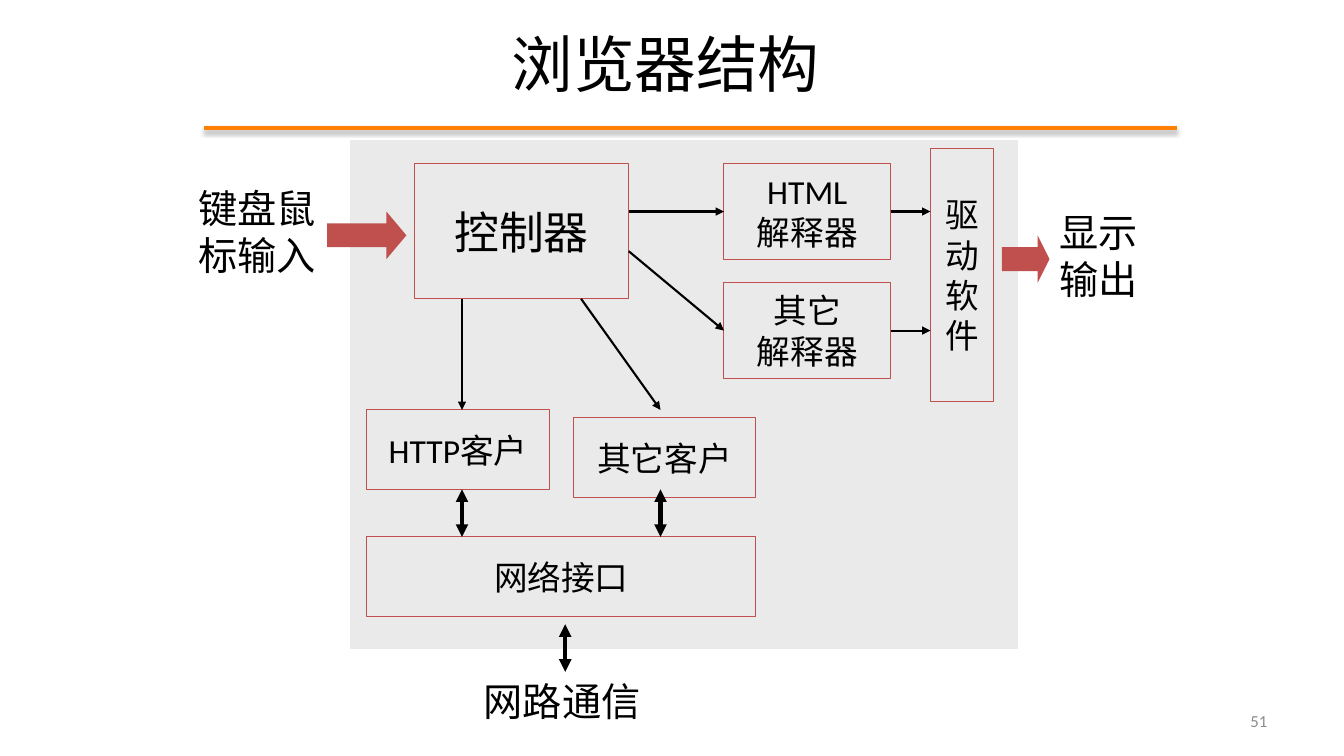
from lxml import etree
from pptx import Presentation
from pptx import util as u
from pptx.dml.color import RGBColor
from pptx.enum import shapes, text
from pptx.oxml.ns import qn

COLORS = {"ink": "000000", "panel": "EAEAEA", "red": "C0504D",
          "rule": "FF8000", "page": "8C8C8C"}
FONT = "Calibri"
CELL = u.Mm(2)
ORIGIN = (u.Inches(3.48), u.Inches(1.39))

PANEL = (0, 0, 84, 64)
BOXES = {
    "controller": ("控制器", 32, (8, 3, 27, 17)),
    "html": ("HTML\n解释器", 24, (47, 3, 21, 12)),
    "other_parser": ("其它\n解释器", 24, (47, 18, 21, 12)),
    "http": ("HTTP客户", 24, (2, 34, 23, 10)),
    "other_client": ("其它客户", 24, (28, 35, 23, 10)),
    "network": ("网络接口", 24, (2, 50, 49, 10)),
    "driver": ("驱\n动\n软\n件", 24, (73, 1, 8, 32)),
}
LABELS = [
    ("键盘鼠\n标输入", (-20.45, 5, 17.4, 13)),
    ("显示\n输出", (88, 8, 12.45, 13)),
    ("网路通信", (15.5, 67, 22.35, 7.2)),
]
BLOCK_ARROWS = [((-3, 9, 10, 6), 0.42), ((82, 12, 6, 6), 0.25)]
EXCHANGES = [((27, 61), (27, 67)), ((14, 44), (14, 50)), ((39, 44), (39, 50))]
FLOWS = [
    ((14, 20), (14, 34), None, None),
    ((29, 20), (39, 34), None, None),
    ((35, 9), (47, 9), None, "html"),
    ((35, 14), (47, 24), None, "other_parser"),
    ((68, 9), (73, 9), "html", None),
    ((68, 24), (73, 24), "other_parser", None),
]
TITLE = ("浏览器结构", (-17.5, -17.65, 114.3, 15.87))
PAGE = ("51", (77.2, 70.6, 39.5, 5.08))
RULE = ((-18.5, -1.5), (104, -1.5))

prs = Presentation()
prs.slide_width, prs.slide_height = u.Inches(13.33), u.Inches(7.5)
slide = prs.slides.add_slide(prs.slide_layouts[6])


def color(name):
    return RGBColor.from_string(COLORS[name])


def point(spot):
    return [int(start + CELL * step) for start, step in zip(ORIGIN, spot)]


def area(cells):
    return point(cells[:2]) + [int(CELL * n) for n in cells[2:]]


def write(holder, words, size, align, ink="ink", wrap=False):
    frame = holder.text_frame
    frame.text = words
    frame.word_wrap = wrap
    frame.vertical_anchor = text.MSO_ANCHOR.MIDDLE
    for paragraph in frame.paragraphs:
        paragraph.alignment = align
        for run in paragraph.runs:
            run.font.size = u.Pt(size)
            run.font.name = FONT
            run.font.color.rgb = color(ink)


def add_block(kind, cells, fill=None, line=None):
    block = slide.shapes.add_shape(kind, *area(cells))
    block.shadow.inherit = False
    if fill:
        block.fill.solid()
        block.fill.fore_color.rgb = color(fill)
    else:
        block.fill.background()
    if line:
        block.line.color.rgb = color(line)
        block.line.width = u.Pt(0.75)
    else:
        block.line.fill.background()
    return block


def add_line(start, end, width, ink="ink", ends=()):
    link = slide.shapes.add_connector(
        shapes.MSO_CONNECTOR.STRAIGHT, *point(start), *point(end))
    link.line.color.rgb = color(ink)
    link.line.width = u.Pt(width)
    for end_tag in ends:
        etree.SubElement(link.line._get_or_add_ln(), qn(end_tag), type="triangle")
    effects = etree.SubElement(link._element.spPr, qn("a:effectLst"))
    return link, effects


def add_text(words, cells, size, align, ink="ink", wrap=True):
    label = slide.shapes.add_textbox(*area(cells))
    write(label, words, size, align, ink, wrap)
    return label


LEFT, CENTER, RIGHT = (text.PP_ALIGN.LEFT, text.PP_ALIGN.CENTER,
                       text.PP_ALIGN.RIGHT)
RECT = shapes.MSO_SHAPE.RECTANGLE

add_text(*PAGE, 12, RIGHT, "page")
add_block(RECT, PANEL, "panel", "panel")
add_text(*TITLE, 44, CENTER)

boxes = {}
for key, (words, size, cells) in BOXES.items():
    boxes[key] = add_block(RECT, cells, line="red")
    write(boxes[key], words, size, CENTER)

for cells, head_share in BLOCK_ARROWS:
    arrow = add_block(shapes.MSO_SHAPE.RIGHT_ARROW, cells, "red")
    arrow.adjustments[1] = head_share

for words, cells in LABELS:
    label = add_text(words, cells, 28, LEFT, wrap=False)
    label.text_frame.auto_size = text.MSO_AUTO_SIZE.SHAPE_TO_FIT_TEXT

for start, end in EXCHANGES:
    add_line(start, end, 3, ends=("a:headEnd", "a:tailEnd"))

for start, end, source, target in FLOWS:
    flow, _ = add_line(start, end, 1.5, ends=("a:tailEnd",))
    if source:
        flow.begin_connect(boxes[source], 3)
    if target:
        flow.end_connect(boxes[target], 1)

_, rule_effects = add_line(*RULE, 3, "rule")
shadow = etree.SubElement(
    rule_effects, qn("a:outerShdw"), blurRad=str(u.Pt(3.1)),
    dist=str(u.Pt(1.8)), dir="5400000", rotWithShape="0")
shade = etree.SubElement(shadow, qn("a:srgbClr"), val=COLORS["ink"])
etree.SubElement(shade, qn("a:alpha"), val="35000")

prs.save("out.pptx")
